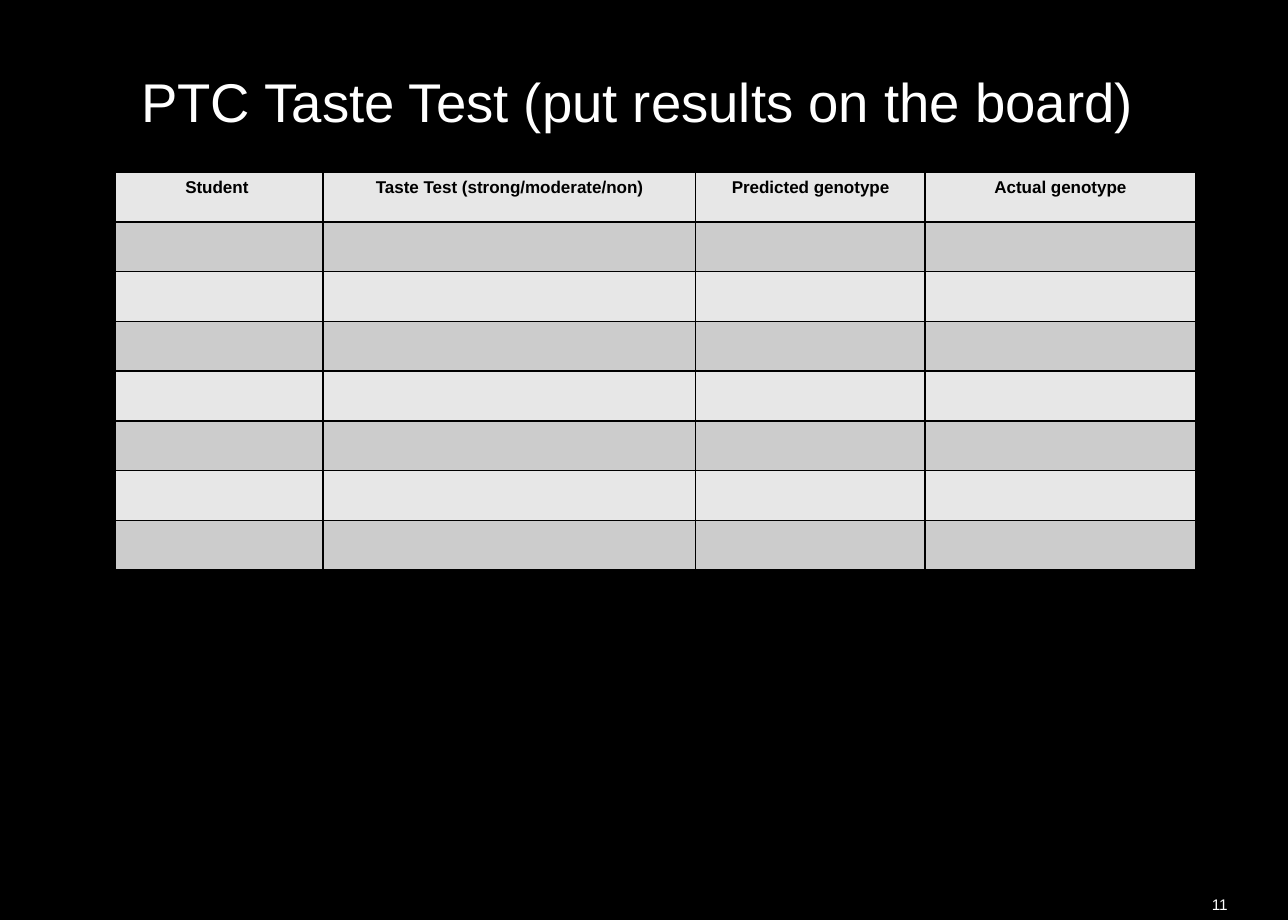
import pptx
import pptx.dml.color
import pptx.enum.text
import pptx.oxml
import pptx.util
from lxml import etree

Pt = pptx.util.Pt
Align = pptx.enum.text.PP_ALIGN
Anchor = pptx.enum.text.MSO_ANCHOR

# Content
TITLE = "PTC Taste Test (put results on the board)"
PAGE_NUMBER = "11"
HEADERS = ["Student ", "Taste Test (strong/moderate/non)",
           "Predicted genotype", "Actual genotype"]
COLUMN_WIDTHS = [121.7, 218.9, 134.7, 158.6]
ROW_COUNT, ROW_HEIGHT = 8, 29.2
TABLE_LEFT, TABLE_TOP = 67.8, 101
ROW_FILLS = ["E7E7E7", "CCCCCC"]
BLACK, WHITE = "000000", "FFFFFF"


def color(value):
    return pptx.dml.color.RGBColor.from_string(value)


def write(frame, text, size=10, ink=BLACK, bold=False, align=Align.CENTER):
    para = frame.paragraphs[0]
    para.alignment = align
    para.font.size = Pt(size)
    if text:
        span = para.add_run()
        span.text = text
        span.font.name = "Arial"
        span.font.size = Pt(size)
        span.font.bold = bold
        span.font.color.rgb = color(ink)


def set_margins(frame, right=0):
    frame.margin_left = frame.margin_top = frame.margin_bottom = 0
    frame.margin_right = Pt(right)


def add_borders(cell, ink=BLACK, width=1):
    properties = cell._tc.get_or_add_tcPr()
    for position, side in enumerate(["lnL", "lnR", "lnT", "lnB"]):
        line = etree.Element(pptx.oxml.ns.qn("a:" + side), w=str(Pt(width)))
        fill = etree.SubElement(line, pptx.oxml.ns.qn("a:solidFill"))
        etree.SubElement(fill, pptx.oxml.ns.qn("a:srgbClr"), val=ink)
        properties.insert(position, line)


# Page
deck = pptx.Presentation()
deck.slide_width, deck.slide_height = Pt(756), Pt(540)
page = deck.slides.add_slide(deck.slide_layouts[5])
page.background.fill.solid()
page.background.fill.fore_color.rgb = color(BLACK)

# Title
title = page.shapes.title
title.left, title.top, title.width, title.height = Pt(34), Pt(8), Pt(688), Pt(70.5)
frame = title.text_frame
frame.word_wrap = True
frame.auto_size = pptx.enum.text.MSO_AUTO_SIZE.NONE
frame.vertical_anchor = Anchor.BOTTOM
set_margins(frame, right=7.2)
write(frame, TITLE, size=32, ink=WHITE)

# Results table
table = page.shapes.add_table(
    ROW_COUNT, len(HEADERS), Pt(TABLE_LEFT), Pt(TABLE_TOP),
    Pt(sum(COLUMN_WIDTHS)), Pt(ROW_COUNT * ROW_HEIGHT)).table
table.first_row = table.horz_banding = False
for column, width in zip(table.columns, COLUMN_WIDTHS):
    column.width = Pt(width)
for row_index, row in enumerate(table.rows):
    row.height = Pt(ROW_HEIGHT)
    for cell, header in zip(row.cells, HEADERS):
        cell.fill.solid()
        cell.fill.fore_color.rgb = color(ROW_FILLS[row_index % 2])
        add_borders(cell)
        write(cell.text_frame, header if row_index == 0 else "", bold=True)

# Page number
box = page.shapes.add_textbox(Pt(706.3), Pt(525.6), Pt(14.4), Pt(10.8))
box.text_frame.word_wrap = False
set_margins(box.text_frame)
write(box.text_frame, PAGE_NUMBER, size=9, ink=WHITE, align=Align.RIGHT)

deck.save("out.pptx")
